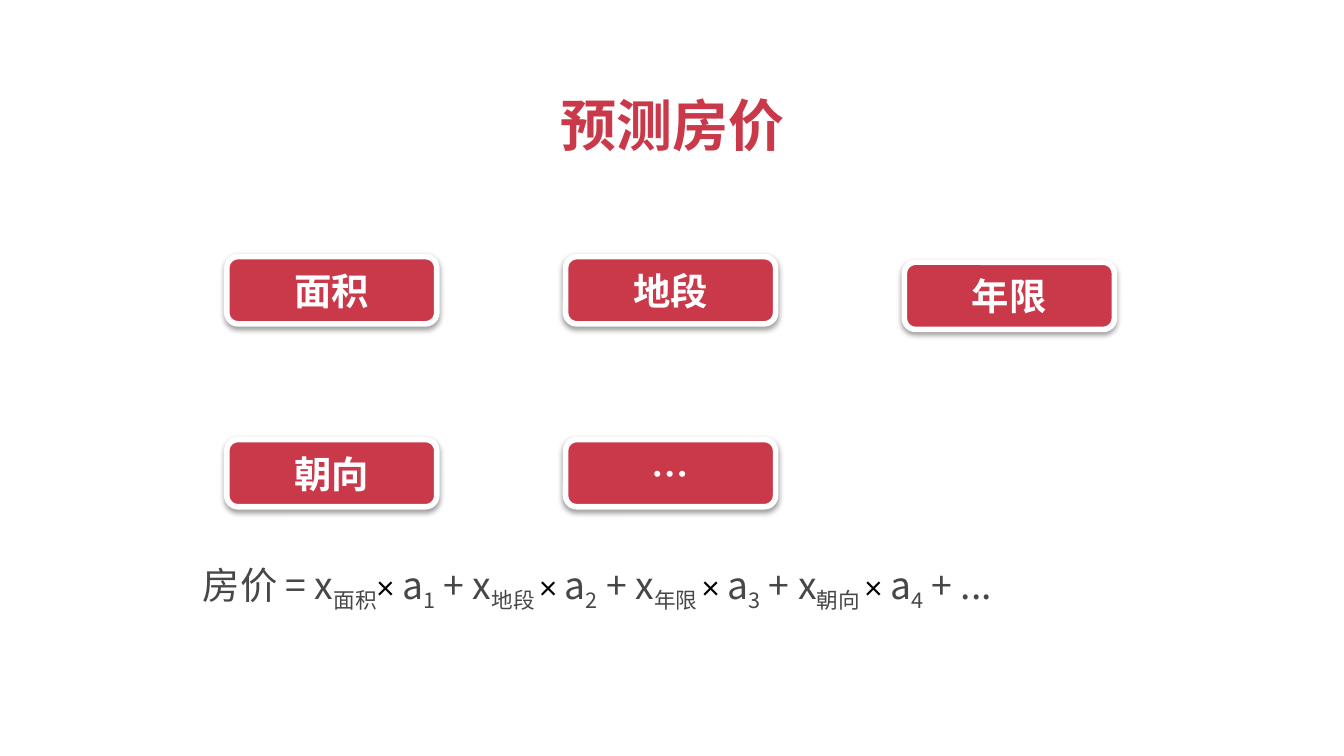
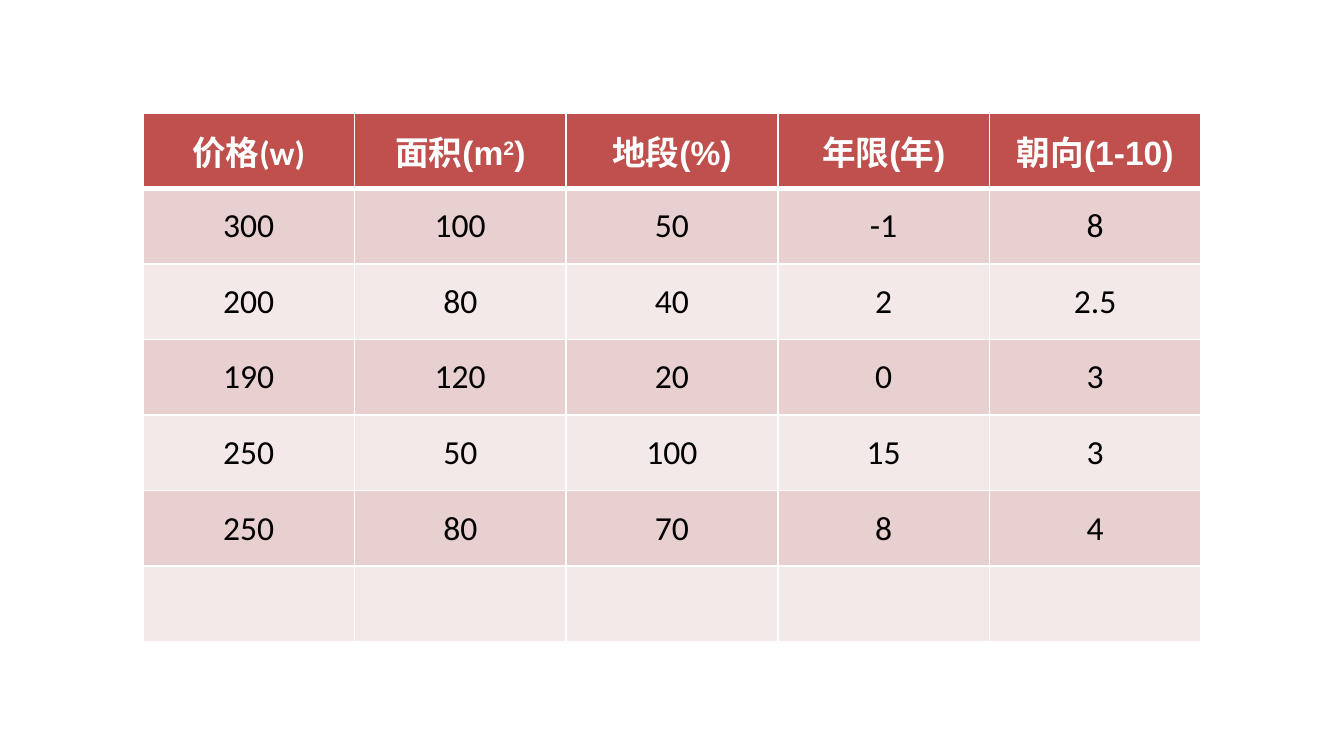
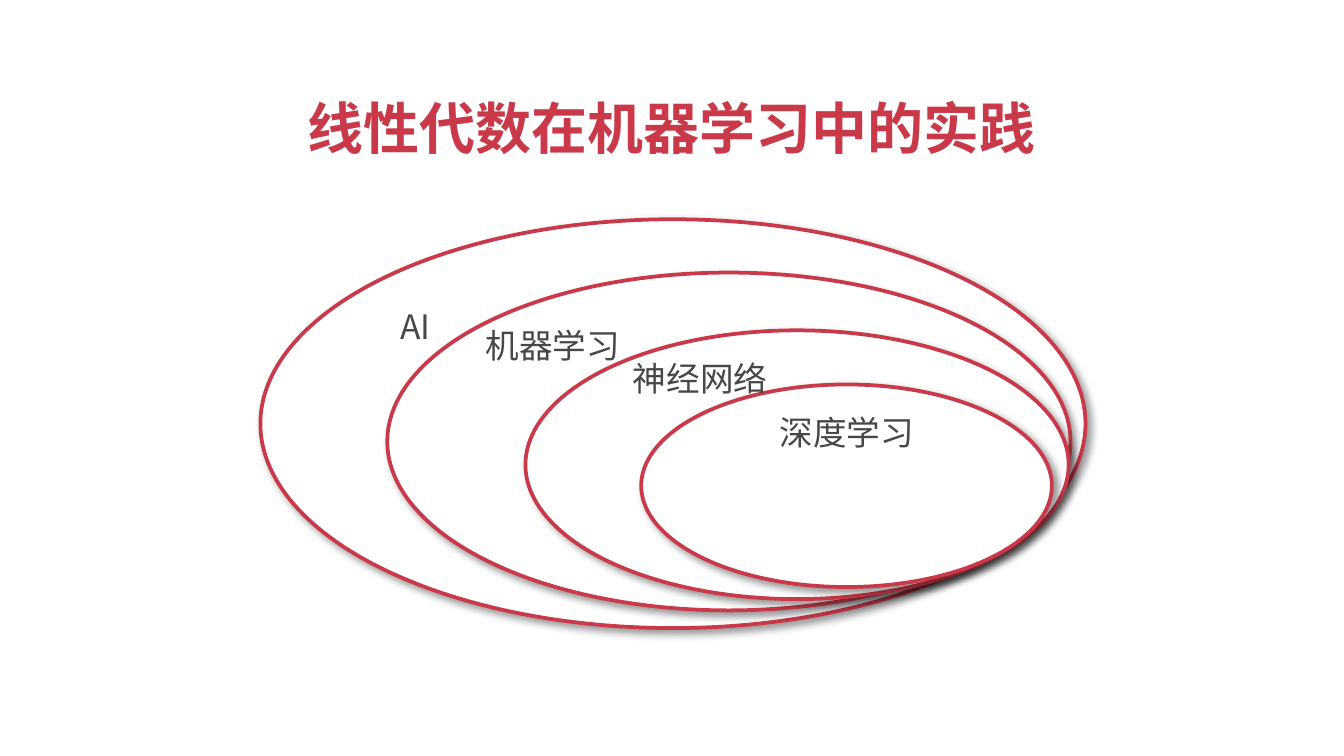
from lxml import etree
from pptx import Presentation
from pptx.dml.color import RGBColor
from pptx.enum.shapes import MSO_SHAPE
from pptx.enum.text import MSO_ANCHOR, MSO_AUTO_SIZE, PP_ALIGN
from pptx.oxml.ns import qn
from pptx.util import Pt

ROUND_RECT, ELLIPSE = MSO_SHAPE.ROUNDED_RECTANGLE, MSO_SHAPE.OVAL
CENTER, MIDDLE, NO_FIT = PP_ALIGN.CENTER, MSO_ANCHOR.MIDDLE, MSO_AUTO_SIZE.NONE
TITLE_ONLY, BLANK = 5, 6

COLORS = {
    "red": "C9394A", "gray": "474747", "white": "FFFFFF", "black": "000000",
    "header": "C0504D", "band_dark": "E8D0D0", "band_light": "F4E9E9",
}
CJK = "Noto Sans CJK SC"
TITLE = {"size": 30, "name": CJK, "color": "red", "bold": True}
BUTTON = {"size": 20, "name": CJK, "color": "white", "bold": True}
FORMULA = {"size": 20, "name": CJK, "color": "gray"}
TIMES = {"size": 18, "name": "Calibri", "color": "black"}
LABEL = {"size": 18, "name": CJK, "color": "gray"}
HEAD = {"size": 18, "name": "Arial", "color": "white", "bold": True}
BODY = {"size": 18, "name": "Calibri", "color": "black", "bold": False}

# Shadows: opacity %, blur, distance, direction in degrees
BUTTON_SHADOW = (38, 3.1, 1.6, 90)
ELLIPSE_SHADOW = (40, 4, 3, 45)

PRICE_TITLE = ("预测房价", (36.5, 44, 648, 45))
# Text, column, top
FACTORS = [("面积", 0, 137.5), ("年限", 2, 140.5), ("地段", 1, 137.5),
           ("朝向", 0, 235.5), ("…", 1, 235.5)]
BUTTON_LEFT, BUTTON_STEP, BUTTON_SIZE = 121.5, 181.5, (112.5, 36)
FORMULA_TERMS = ["面积", "地段 ", "年限 ", "朝向 "]
FORMULA_BOX = (65.5, 299, 674.5, 31.5)

# Each header is a list of (text, baseline %)
HEADERS = [[("价格(w)", 0)], [("面积(m", 0), ("2", 30), (")", 0)],
           [("地段(%)", 0)], [("年限(年)", 0)], [("朝向(1-10)", 0)]]
HOUSES = [
    ("300", "100", "50", "-1", "8"),
    ("200", "80", "40", "2", "2.5"),
    ("190", "120", "20", "0", "3"),
    ("250", "50", "100", "15", "3"),
    ("250", "80", "70", "8", "4"),
    ("", "", "", "", ""),
]
TABLE_BOX = (76.5, 60.5, 567, 283.5)

FIELDS_TITLE = ("线性代数在机器学习中的实践", (156, 46, 408, 44))
# Text, ellipse box, label box
FIELDS = [
    ("AI", (139.5, 117.5, 442, 219), (207.5, 160.5, 51, 29)),
    ("机器学习", (207.5, 146, 366, 181), (253, 170.5, 99.5, 29)),
    ("神经网络", (281.5, 177, 291, 144), (332, 188, 99.5, 29)),
    ("深度学习", (343.5, 206, 220, 108.5), (410.5, 217, 99.5, 29)),
]


def rgb(name):
    return RGBColor.from_string(COLORS[name])


def pts(values):
    return [Pt(v) for v in values]


def add_run(p, text, fmt, baseline=0):
    r = p.add_run()
    r.text = text
    for key, value in fmt.items():
        if key == "color":
            r.font.color.rgb = rgb(value)
        else:
            setattr(r.font, key, Pt(value) if key == "size" else value)
    rPr = r.font._element
    ea = etree.Element(qn("a:ea"), typeface=CJK)
    rPr.find(qn("a:latin")).addnext(ea)
    if baseline:
        rPr.set("baseline", str(baseline * 1000))


def add_title(s, text, box):
    title = s.shapes.title
    title.left, title.top, title.width, title.height = pts(box)
    tf = title.text_frame
    tf.auto_size, tf.vertical_anchor, tf.word_wrap = NO_FIT, MIDDLE, True
    p = tf.paragraphs[0]
    p.alignment = CENTER
    add_run(p, text, TITLE)


def add_outlined(s, kind, box, fill, line, width, shadow):
    """Add a filled shape with an outline and an outer shadow."""
    sp = s.shapes.add_shape(kind, *pts(box))
    sp.fill.solid()
    sp.fill.fore_color.rgb = rgb(fill)
    sp.line.color.rgb = rgb(line)
    sp.line.width = Pt(width)
    sp.shadow.inherit = False
    opacity, blur, dist, angle = shadow
    effects = sp.element.spPr.find(qn("a:effectLst"))
    outer = etree.SubElement(effects, qn("a:outerShdw"), blurRad=str(Pt(blur)),
                             dist=str(Pt(dist)), dir=str(angle * 60000), rotWithShape="0")
    color = etree.SubElement(outer, qn("a:srgbClr"), val=COLORS["black"])
    etree.SubElement(color, qn("a:alpha"), val=str(opacity * 1000))
    return sp


def add_text_box(s, box):
    tf = s.shapes.add_textbox(*pts(box)).text_frame
    tf.word_wrap = True
    return tf


def format_cell(cell, fill, bottom):
    cell.fill.solid()
    cell.fill.fore_color.rgb = rgb(fill)
    cell.vertical_anchor = MIDDLE
    tcPr = cell._tc.get_or_add_tcPr()
    sides = [("lnL", 1), ("lnR", 1), ("lnT", 1), ("lnB", bottom)]
    for i, (tag, width) in enumerate(sides):
        ln = etree.Element(qn(f"a:{tag}"), w=str(Pt(width)))
        solid = etree.SubElement(ln, qn("a:solidFill"))
        etree.SubElement(solid, qn("a:srgbClr"), val=COLORS["white"])
        tcPr.insert(i, ln)


def build_price_slide(prs):
    s = prs.slides.add_slide(prs.slide_layouts[TITLE_ONLY])
    add_title(s, *PRICE_TITLE)
    for text, col, top in FACTORS:
        box = (BUTTON_LEFT + col * BUTTON_STEP, top, *BUTTON_SIZE)
        sp = add_outlined(s, ROUND_RECT, box, "red", "white", 3, BUTTON_SHADOW)
        sp.text_frame.vertical_anchor = MIDDLE
        p = sp.text_frame.paragraphs[0]
        p.alignment = CENTER
        add_run(p, text, BUTTON)

    tf = add_text_box(s, FORMULA_BOX)
    tf.vertical_anchor = MIDDLE
    p = tf.paragraphs[0]
    p.level = 1
    pPr = p._p.get_or_add_pPr()
    pPr.set("marL", str(Pt(36)))
    pPr.set("indent", "0")
    for n, term in enumerate(FORMULA_TERMS, 1):
        add_run(p, "房价 = x" if n == 1 else " + x", FORMULA)
        add_run(p, term, FORMULA, -25)
        add_run(p, "×", TIMES)
        add_run(p, " a", FORMULA)
        add_run(p, str(n), FORMULA, -25)
    add_run(p, " + ...", FORMULA)


def build_table_slide(prs):
    s = prs.slides.add_slide(prs.slide_layouts[BLANK])
    rows = [HEADERS] + [[[(v, 0)] for v in house] for house in HOUSES]
    table = s.shapes.add_table(len(rows), len(HEADERS), *pts(TABLE_BOX)).table
    for i, row in enumerate(rows):
        fill = "header" if i == 0 else "band_dark" if i % 2 else "band_light"
        for j, runs in enumerate(row):
            cell = table.cell(i, j)
            format_cell(cell, fill, 1 if i else 3)
            if i == 1:
                cell._tc.tcPr.find(qn("a:lnT")).set("w", str(Pt(3)))
            fmt = BODY if i else HEAD
            if (i, j) == (0, 0):
                fmt = {**HEAD, "name": "Calibri"}
            p = cell.text_frame.paragraphs[0]
            p.alignment = CENTER
            for text, baseline in runs:
                if text:
                    add_run(p, text, fmt, baseline)


def build_fields_slide(prs):
    s = prs.slides.add_slide(prs.slide_layouts[TITLE_ONLY])
    add_title(s, *FIELDS_TITLE)
    for _, box, _ in FIELDS:
        add_outlined(s, ELLIPSE, box, "white", "red", 2, ELLIPSE_SHADOW)
    for text, _, box in FIELDS:
        add_run(add_text_box(s, box).paragraphs[0], text, LABEL)


def main():
    prs = Presentation()
    prs.slide_width, prs.slide_height = Pt(720), Pt(405)
    build_price_slide(prs)
    build_table_slide(prs)
    build_fields_slide(prs)
    prs.save("out.pptx")


if __name__ == "__main__":
    main()
